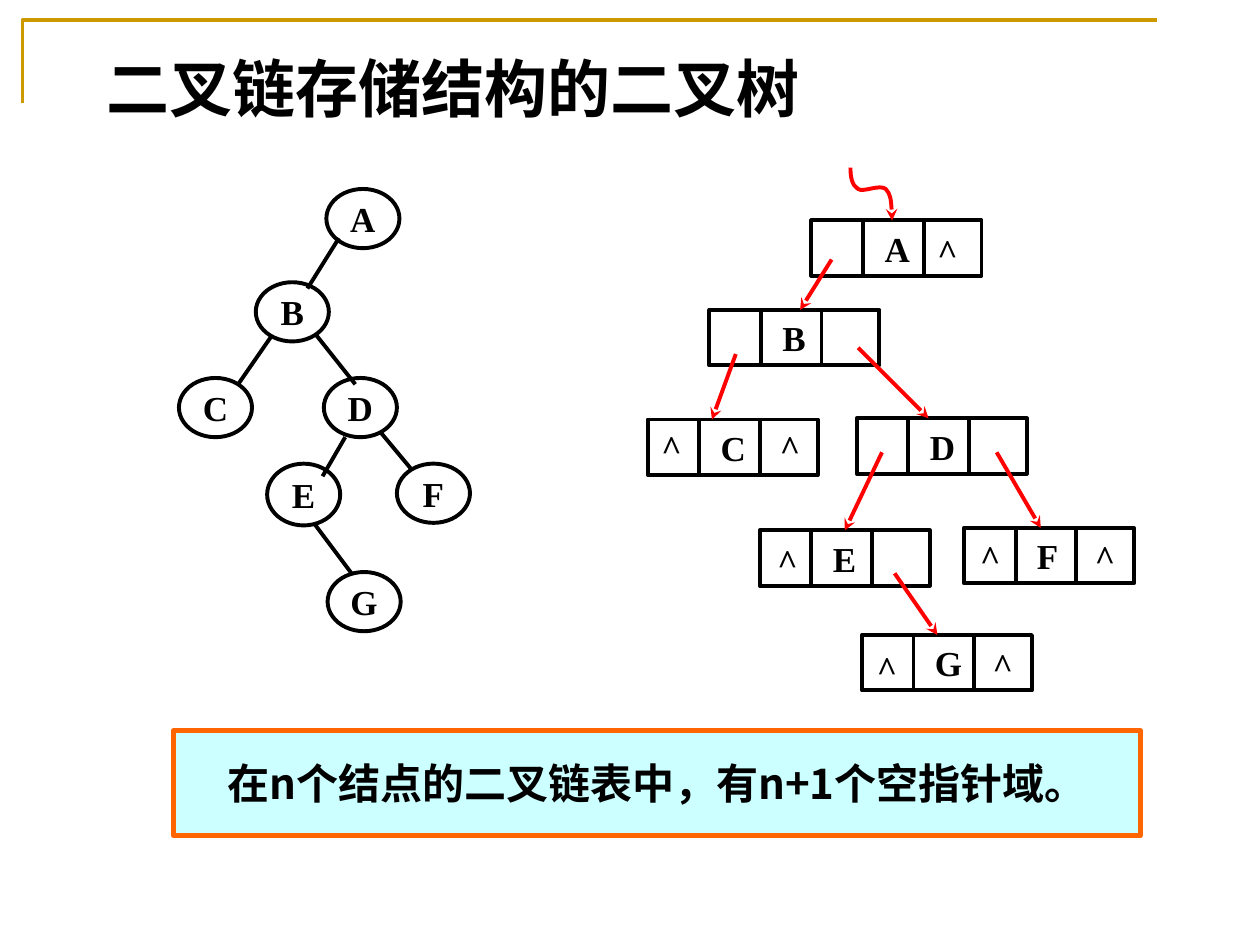
from lxml.etree import SubElement
from pptx import Presentation
from pptx.dml.color import RGBColor
from pptx.enum.shapes import MSO_CONNECTOR, MSO_SHAPE
from pptx.enum.text import MSO_ANCHOR, PP_ALIGN
from pptx.oxml.ns import qn
from pptx.util import Inches, Pt

COLS, ROWS = 1000, 750
UNIT = Inches(10) // COLS
BLACK, WHITE, RED, GOLD = "000000", "FFFFFF", "FF0000", "CC9900"
SERIF, SANS = "Times New Roman", "Noto Sans CJK SC"


def rgb(value):
    """Turn a hex string into a colour."""
    return RGBColor.from_string(value)


def grid(*cells):
    """Turn grid counts into slide lengths."""
    return [int(c * UNIT) for c in cells]


def write(sp, text, size=20, font=SERIF, align=PP_ALIGN.CENTER, wrap=False):
    """Put one bold run into a shape."""
    tf = sp.text_frame
    tf.word_wrap = wrap
    tf.vertical_anchor = MSO_ANCHOR.MIDDLE
    p = tf.paragraphs[0]
    p.alignment = align
    r = p.add_run()
    r.text = text
    r.font.size, r.font.bold, r.font.name = Pt(size), True, font
    r.font.color.rgb = rgb(BLACK)
    SubElement(r._r.rPr, qn("a:ea")).set("typeface", SANS)
    return tf


def add_text(slide, box, text, **style):
    """Add a text box at a grid box."""
    return write(slide.shapes.add_textbox(*grid(*box)), text, **style)


def outline(sp, color, width=2.25, arrow=False):
    """Style the line of a shape or connector, with an optional arrowhead."""
    sp.line.color.rgb = rgb(color)
    sp.line.width = Pt(width)
    if arrow:
        SubElement(sp.line._get_or_add_ln(), qn("a:tailEnd")).set("type", "stealth")


def add_box(slide, kind, box, fill=None, color=BLACK, width=2.25):
    """Add a preset shape at a grid box."""
    sp = slide.shapes.add_shape(kind, *grid(*box))
    sp.shadow.inherit = False
    if fill:
        sp.fill.solid()
        sp.fill.fore_color.rgb = rgb(fill)
    else:
        sp.fill.background()
    outline(sp, color, width)
    return sp


def add_line(slide, x1, y1, x2, y2, color=BLACK, arrow=False):
    """Add a straight connector between two grid points."""
    cxn = slide.shapes.add_connector(MSO_CONNECTOR.STRAIGHT, *grid(x1, y1, x2, y2))
    outline(cxn, color, arrow=arrow)
    SubElement(cxn._element.spPr, qn("a:effectLst"))
    return cxn


def add_path(slide, points, color, width=2.25, arrow=False):
    """Add an open freeform through grid points."""
    start, *rest = [grid(*pt) for pt in points]
    fb = slide.shapes.build_freeform(*start)
    fb.add_line_segments(rest, close=False)
    sp = fb.convert_to_shape()
    sp.shadow.inherit = False
    sp.fill.background()
    outline(sp, color, width, arrow)
    return sp


def bend(sp):
    """Turn each three line segments of a freeform into one Bezier curve."""
    lines = sp._element.xpath(".//a:path/a:lnTo")
    for i in range(0, len(lines), 3):
        first, *others = lines[i:i + 3]
        curve = first.getparent().makeelement(qn("a:cubicBezTo"))
        first.addprevious(curve)
        for ln in (first, *others):
            curve.append(ln[0])
            ln.getparent().remove(ln)


def add_heading(slide, box):
    """Draw the corner rule and the title."""
    x, y, w, h = box
    add_path(slide, [(x, y + h), (x, y), (x + w, y)], GOLD, 2)
    add_text(slide, (x + 57, y + 12, 858, 83), "二叉链存储结构的二叉树",
             size=36, align=PP_ALIGN.LEFT, wrap=True)


def add_tree(slide, box):
    """Draw the binary tree as circles and edges."""
    x, y = box[:2]
    nodes = {"A": (117, 0), "B": (61, 74), "C": (0, 150), "D": (115, 150),
             "E": (70, 218), "F": (173, 218), "G": (118, 304)}
    edges = [(127, 39, 102, 79), (74, 116, 47, 155), (109, 116, 140, 155),
             (132, 197, 114, 228), (160, 193, 185, 223), (107, 265, 137, 305)]
    for name, (dx, dy) in nodes.items():
        height = 49 if name == "E" else 47
        write(add_box(slide, MSO_SHAPE.OVAL, (x + dx, y + dy, 58, height), WHITE), name)
    for x1, y1, x2, y2 in edges:
        add_line(slide, x + x1, y + y1, x + x2, y + y2)


def add_record(slide, x, y, name):
    """Draw a node record with left pointer, data and right pointer fields."""
    w, h = 135, 44
    sp = add_box(slide, MSO_SHAPE.RECTANGLE, (x, y, w, h))
    tf = write(sp, name, align=PP_ALIGN.LEFT)
    tf.margin_left, tf.margin_right = grid(58, 0)
    tf.word_wrap = True
    for dx in (41, 89):
        add_line(slide, x + dx, y, x + dx, y + h)
    return sp


def add_linked_list(slide, box):
    """Draw the linked records, their pointers and null marks."""
    x, y = box[:2]
    places = {"A": (130, 42), "B": (49, 113), "C": (0, 200), "D": (166, 199),
              "E": (89, 288), "F": (251, 286), "G": (170, 371)}
    pointers = [("A", 16, 31, "B", 72), ("B", 21, 35, "C", 51), ("B", 118, 30, "D", 57),
                ("D", 20, 27, "E", 67.5), ("D", 111, 27, "F", 61), ("E", 107, 34, "G", 60)]
    nulls = [("A", 90, 2), ("C", 1, 0), ("C", 95, 0), ("E", 4, 2),
             ("F", 3, 1), ("F", 94, 1), ("G", 2, 4), ("G", 94, 2)]
    spots = {name: (x + dx, y + dy) for name, (dx, dy) in places.items()}
    records = {name: add_record(slide, *spot, name) for name, spot in spots.items()}
    for parent, dx, dy, child, end in pointers:
        (px, py), (cx, cy) = spots[parent], spots[child]
        cxn = add_line(slide, px + dx, py + dy, cx + end, cy, RED, arrow=True)
        if end == 67.5:
            cxn.end_connect(records[child], 0)
    for name, dx, dy in nulls:
        rx, ry = spots[name]
        add_text(slide, (rx + dx, ry + dy, 36, 43), "^")
    wave = [(0, 0), (0, 7), (1, 14), (6, 17), (10, 20), (23, 13), (28, 17),
            (32, 21), (33, 32), (33, 42)]
    bend(add_path(slide, [(x + 161 + dx, y + dy) for dx, dy in wave], RED, arrow=True))


def add_conclusion(slide, box):
    """Draw the framed conclusion."""
    sp = add_box(slide, MSO_SHAPE.RECTANGLE, box, "CCFFFF", "FF6600", 3)
    write(sp, "在n个结点的二叉链表中，有n+1个空指针域。", size=24, font=SANS, wrap=True)


def main():
    """Build and save the slide."""
    prs = Presentation()
    prs.slide_width, prs.slide_height = grid(COLS, ROWS)
    s = prs.slides.add_slide(prs.slide_layouts[6])
    add_heading(s, (18, 16, 900, 66))
    add_tree(s, (142, 150, 231, 351))
    add_linked_list(s, (514, 133, 386, 415))
    add_conclusion(s, (138, 580, 767, 83))
    prs.save("out.pptx")


if __name__ == "__main__":
    main()
